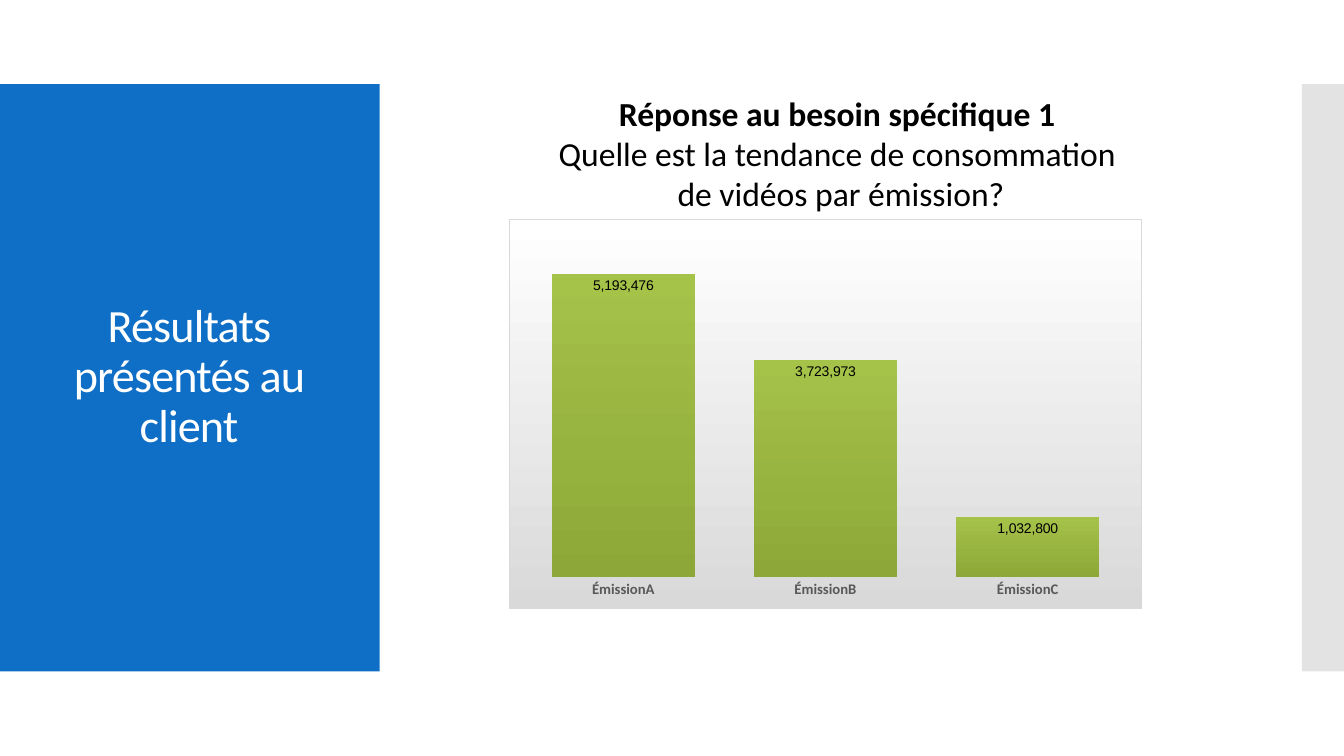
from dataclasses import dataclass

from pptx import Presentation
from pptx import util as u
from pptx.chart.data import CategoryChartData
from pptx.dml.color import RGBColor
from pptx.enum import chart as ch, shapes, text
from pptx.oxml import parse_xml
from pptx.oxml.ns import nsdecls, qn

BLUE = RGBColor(0x0F, 0x6F, 0xC6)
GREY = RGBColor(0xC8, 0xC8, 0xC8)
PALE = RGBColor(0xD9, 0xD9, 0xD9)
WHITE = RGBColor(0xFF, 0xFF, 0xFF)
BLACK = RGBColor(0, 0, 0)
LABEL_GREY = RGBColor(0x59, 0x59, 0x59)
GREEN = RGBColor(0xA5, 0xC2, 0x49)
DARK_GREEN = RGBColor(0x8D, 0xA8, 0x38)


@dataclass
class Band:
    left: float
    width: float
    color: RGBColor
    opacity: int = 100


@dataclass
class Line:
    words: str
    bold: bool = False


BANDS = [Band(0, 9.57, BLUE), Band(32.81, 1.06, GREY, 50)]
QUESTION = [
    Line("Réponse au besoin spécifique 1 ", True),
    Line("Quelle est la tendance de consommation "),
    Line("de vidéos par émission?"),
]
VIEWS = {"ÉmissionA": 5193476, "ÉmissionB": 3723973, "ÉmissionC": 1032800}


def style_font(font, size: float, color: RGBColor, name: str = "Calibri", bold: bool = False) -> None:
    font.size, font.name, font.bold = u.Pt(size), name, bold
    font.color.rgb = color


def add_band(s, band: Band, depth: int) -> None:
    sp = s.shapes.add_shape(shapes.MSO_SHAPE.RECTANGLE, u.Cm(band.left), u.Cm(2.12),
                            u.Cm(band.width), u.Cm(14.8))
    sp.shadow.inherit = False
    sp.fill.solid()
    sp.fill.fore_color.rgb = band.color
    sp.line.fill.background()
    if band.opacity < 100:
        color = sp._element.spPr.find(".//" + qn("a:srgbClr"))
        color.append(parse_xml(f'<a:alpha {nsdecls("a")} val="{band.opacity * 1000}"/>'))
    s.shapes._spTree.insert(2 + depth, sp._element)


def set_title(s) -> None:
    title = s.shapes.title
    title.left, title.top, title.width, title.height = u.Cm(0.74), u.Cm(7.54), u.Cm(8.05), u.Cm(3.96)
    tf = title.text_frame
    tf.word_wrap = True
    tf.auto_size = text.MSO_AUTO_SIZE.NONE
    tf.vertical_anchor = text.MSO_ANCHOR.MIDDLE
    p = tf.paragraphs[0]
    p.alignment = text.PP_ALIGN.CENTER
    p.line_spacing = 0.9
    r = p.add_run()
    r.text = "Résultats présentés au client"
    style_font(r.font, 33, WHITE)
    r._r.get_or_add_rPr().set("spc", "-60")


def add_question(s) -> None:
    tf = s.shapes.add_textbox(u.Cm(10.44), u.Cm(2.21), u.Cm(21.51), u.Cm(2.97)).text_frame
    tf.word_wrap = True
    p = tf.paragraphs[0]
    p.alignment = text.PP_ALIGN.CENTER
    for i, line in enumerate(QUESTION):
        if i:
            p.add_line_break()
        r = p.add_run()
        r.text = line.words
        style_font(r.font, 24, BLACK, bold=line.bold)


def frame_chart(chart) -> None:
    chart._chartSpace.chart.addnext(parse_xml(
        f'<c:spPr {nsdecls("c", "a")}><a:gradFill><a:gsLst>'
        f'<a:gs pos="0"><a:srgbClr val="{WHITE}"/></a:gs>'
        f'<a:gs pos="100000"><a:srgbClr val="{PALE}"/></a:gs>'
        f'</a:gsLst><a:lin ang="5400000" scaled="0"/></a:gradFill>'
        f'<a:ln w="9525"><a:solidFill><a:srgbClr val="{PALE}"/></a:solidFill></a:ln></c:spPr>'))
    plot_area = chart._chartSpace.chart.plotArea
    for layout in plot_area.findall(qn("c:layout")):
        plot_area.remove(layout)
    plot_area.insert(0, parse_xml(
        f'<c:layout {nsdecls("c")}><c:manualLayout><c:layoutTarget val="inner"/>'
        '<c:xMode val="edge"/><c:yMode val="edge"/><c:x val="0.02"/><c:y val="0.02"/>'
        '<c:w val="0.96"/><c:h val="0.9"/></c:manualLayout></c:layout>'))


def add_views_chart(s) -> None:
    data = CategoryChartData(number_format="#,##0")
    data.categories = list(VIEWS)
    data.add_series("Series 1", list(VIEWS.values()))
    chart = s.shapes.add_chart(ch.XL_CHART_TYPE.COLUMN_CLUSTERED, u.Cm(12.83), u.Cm(5.51),
                               u.Cm(15.95), u.Cm(9.83), data).chart
    style_font(chart.font, 10, BLACK, "Arial")
    chart.has_legend = False
    chart.has_title = False
    frame_chart(chart)

    value_axis = chart.value_axis
    value_axis.visible = False
    value_axis.has_major_gridlines = False
    value_axis.minimum_scale, value_axis.maximum_scale = 0, 6000000

    category_axis = chart.category_axis
    category_axis.major_tick_mark = ch.XL_TICK_MARK.NONE
    category_axis.format.line.fill.background()
    style_font(category_axis.tick_labels.font, 10.5, LABEL_GREY, bold=True)

    plot = chart.plots[0]
    plot.gap_width = 41
    plot.vary_by_categories = False
    fill = plot.series[0].format.fill
    fill.gradient()
    fill.gradient_angle = 270
    for stop, color in zip(fill.gradient_stops, (GREEN, DARK_GREEN)):
        stop.color.rgb = color

    labels = plot.series[0].data_labels
    labels.show_value = True
    labels.position = ch.XL_LABEL_POSITION.INSIDE_END
    labels.number_format = "#,##0"
    labels.number_format_is_linked = False
    style_font(labels.font, 10, BLACK, "Arial")


def main() -> None:
    prs = Presentation()
    prs.slide_width, prs.slide_height = u.Cm(33.87), u.Cm(19.05)
    s = prs.slides.add_slide(prs.slide_layouts[5])
    for depth, band in enumerate(BANDS):
        add_band(s, band, depth)
    set_title(s)
    add_question(s)
    add_views_chart(s)
    prs.save("out.pptx")


if __name__ == "__main__":
    main()
